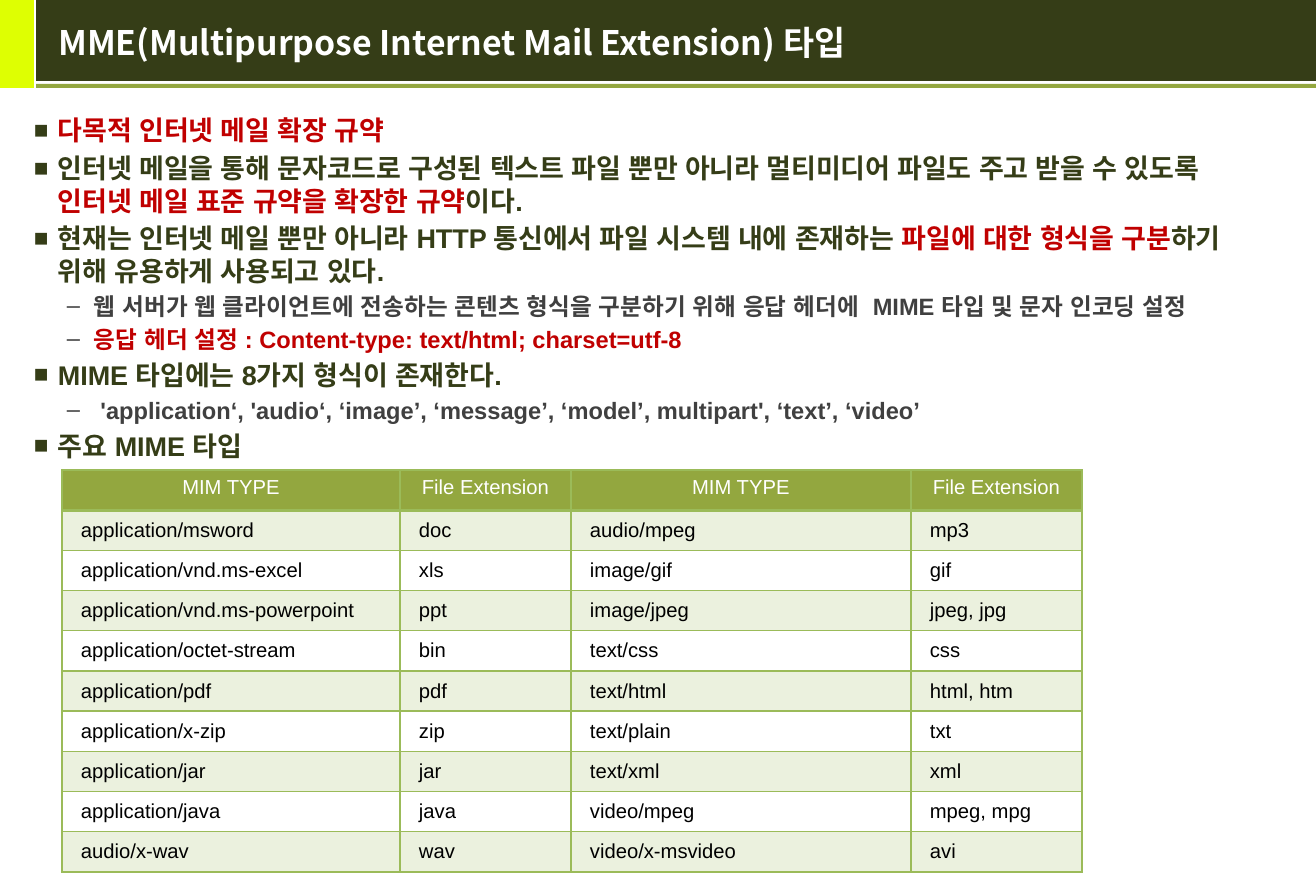
from lxml.etree import SubElement
from pptx import Presentation
from pptx.dml.color import RGBColor
from pptx.enum.shapes import MSO_SHAPE
from pptx.enum.text import MSO_ANCHOR, MSO_AUTO_SIZE, PP_ALIGN
from pptx.oxml.ns import qn
from pptx.util import Pt

LIME = RGBColor(0xDE, 0xFF, 0x02)
DARK = RGBColor(0x35, 0x3D, 0x17)
OLIVE = RGBColor(0x93, 0xA7, 0x3F)
RED = RGBColor(0xC0, 0x00, 0x00)
GRAY = RGBColor(0x40, 0x40, 0x40)
PALE = RGBColor(0xEB, 0xF1, 0xDE)
EDGE = RGBColor(0x9B, 0xBB, 0x59)
WHITE = RGBColor(0xFF, 0xFF, 0xFF)
BLACK = RGBColor(0x00, 0x00, 0x00)
HANGUL = "Noto Sans CJK KR"


def px(n):
    return round(n * 914400 / 121.5)


def style(run, size, color, face="Arial", bold=True):
    font = run.font
    font.size, font.bold, font.name = Pt(size), bold, face
    font.color.rgb = color
    SubElement(font._element, qn("a:ea")).set("typeface", face)


deck = Presentation()
deck.slide_width, deck.slide_height = px(1316), px(885)
slide = deck.slides.add_slide(deck.slide_layouts[5])
shapes = slide.shapes

# Header bars
bars = [(0, 0, 34, 88, LIME), (36, 0, 1280, 81, DARK), (36, 84, 1280, 4, OLIVE)]
for x, y, w, h, color in bars:
    bar = shapes.add_shape(MSO_SHAPE.RECTANGLE, px(x), px(y), px(w), px(h))
    bar.shadow.inherit = False
    bar.fill.solid()
    bar.fill.fore_color.rgb = color
    bar.line.fill.background()

# Title, in front of the bars
title = shapes.title
title.element.getparent().append(title.element)
title.left, title.top, title.width, title.height = px(46), 0, px(1254), px(83)
frame = title.text_frame
frame.text = "MME(Multipurpose Internet Mail Extension) 타입"
frame.auto_size = MSO_AUTO_SIZE.NONE
frame.vertical_anchor = MSO_ANCHOR.MIDDLE
frame.paragraphs[0].alignment = PP_ALIGN.LEFT
style(frame.paragraphs[0].runs[0], 20, WHITE, HANGUL)

# Body: level and text, with red parts between asterisks
points = [
    (0, "*다목적 인터넷 메일 확장 규약*"),
    (0, "인터넷 메일을 통해 문자코드로 구성된 텍스트 파일 뿐만 아니라 멀티미디어 파일도 "
        "주고 받을 수 있도록 *인터넷 메일 표준 규약을 확장한 규약*이다."),
    (0, "현재는 인터넷 메일 뿐만 아니라 HTTP 통신에서 파일 시스템 내에 존재하는 "
        "*파일에 대한 형식을 구분*하기 위해 유용하게 사용되고 있다."),
    (1, "웹 서버가 웹 클라이언트에 전송하는 콘텐츠 형식을 구분하기 위해 응답 헤더에  "
        "MIME 타입 및 문자 인코딩 설정"),
    (1, "*응답 헤더 설정 : Content-type: text/html; charset=utf-8*"),
    (0, "MIME 타입에는 8가지 형식이 존재한다."),
    (1, " 'application‘, 'audio‘, ‘image’, ‘message’, ‘model’, multipart', ‘text’, ‘video’"),
    (0, "주요 MIME 타입"),
]
# Per level: size, colour, bullet, bullet percent, margin, hang, line pitch
levels = [(16, DARK, "■", 90, 24, 24, 19.2), (14, GRAY, "–", 100, 60, 27, 16.8)]
body = shapes.add_textbox(px(22), px(108), px(1266), px(756)).text_frame
body.word_wrap = True
for i, (level, text) in enumerate(points):
    size, color, mark, scale, margin, hang, pitch = levels[level]
    para = body.add_paragraph() if i else body.paragraphs[0]
    para.level = level
    para.line_spacing = Pt(pitch)
    para.space_before = Pt(size * 0.2 if i else 0)
    props = para._p.get_or_add_pPr()
    props.set("marL", str(px(margin)))
    props.set("indent", str(-px(hang)))
    tint = SubElement(props, qn("a:buClr"))
    SubElement(tint, qn("a:srgbClr")).set("val", str(color))
    SubElement(props, qn("a:buSzPct")).set("val", str(scale * 1000))
    SubElement(props, qn("a:buFont")).set("typeface", "Arial")
    SubElement(props, qn("a:buChar")).set("char", mark)
    for j, part in enumerate(text.split("*")):
        if part:
            run = para.add_run()
            run.text = part
            style(run, size, RED if j % 2 else color)

# Table of types
rows = [
    ("MIM TYPE", "File Extension", "MIM TYPE", "File Extension"),
    ("application/msword", "doc", "audio/mpeg", "mp3"),
    ("application/vnd.ms-excel", "xls", "image/gif", "gif"),
    ("application/vnd.ms-powerpoint", "ppt", "image/jpeg", "jpeg, jpg"),
    ("application/octet-stream", "bin", "text/css", "css"),
    ("application/pdf", "pdf", "text/html", "html, htm"),
    ("application/x-zip", "zip", "text/plain", "txt"),
    ("application/jar", "jar", "text/xml", "xml"),
    ("application/java", "java", "video/mpeg", "mpeg, mpg"),
    ("audio/x-wav", "wav", "video/x-msvideo", "avi"),
]
widths = [338, 171, 340, 171]
table = shapes.add_table(len(rows), len(widths), px(62), px(470),
                         px(sum(widths)), px(402)).table
for col, width in zip(table.columns, widths):
    col.width = px(width)
for r, row in enumerate(rows):
    head = r == 0
    for c, text in enumerate(row):
        cell = table.cell(r, c)
        cell.text = text
        cell.vertical_anchor = MSO_ANCHOR.MIDDLE
        cell.margin_left = cell.margin_right = px(19)
        cell.margin_top, cell.margin_bottom = 0, px(6 if head else 0)
        para = cell.text_frame.paragraphs[0]
        para.alignment = PP_ALIGN.CENTER if head else PP_ALIGN.LEFT
        style(para.runs[0], 12, WHITE if head else BLACK, bold=False)
        # Borders, heavier under the header
        props = cell._tc.get_or_add_tcPr()
        for side in "LRTB":
            heavy = (head and side == "B") or (r == 1 and side == "T")
            line = SubElement(props, qn("a:ln" + side))
            line.set("w", str(Pt(2 if heavy else 1)))
            paint = SubElement(line, qn("a:solidFill"))
            SubElement(paint, qn("a:srgbClr")).set("val", str(EDGE))
        if head or r % 2:
            cell.fill.solid()
            cell.fill.fore_color.rgb = OLIVE if head else PALE
        else:
            cell.fill.background()

deck.save("out.pptx")
